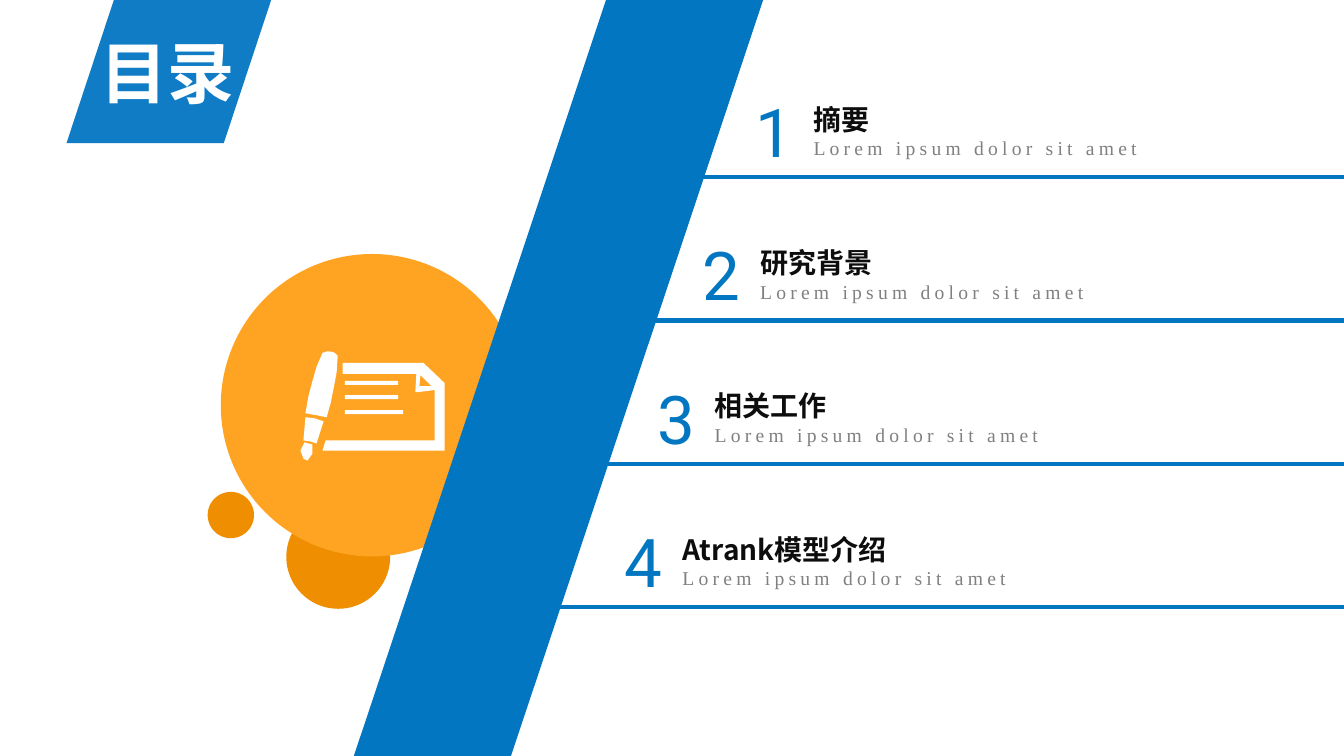
from lxml import etree
from pptx import Presentation
from pptx import util as u
from pptx.dml.color import RGBColor
from pptx.enum import shapes, text
from pptx.oxml.ns import qn

COLORS = {"blue": "0376C2", "orange": "FFA422", "amber": "EE8E00",
          "white": "FFFFFF", "ink": "0D0D0D", "gray": "808080"}
PITCH = 1.42
SUBTITLE = "Lorem ipsum dolor sit amet"
# Number's left edge and heading of each entry
ENTRIES = [(7.4, "摘要"), (6.87, "研究背景"), (6.42, "相关工作"), (6.1, "Atrank模型介绍")]

TITLE_TAB = [[(1.13, 0), (2.69, 0), (2.22, 1.42), (0.66, 1.42)]]
PEN = [
    [(3.2, 3.5), (3.25, 3.485), (3.29, 3.49), (3.32, 3.5), (3.35, 3.53), (3.34, 3.69),
     (3.31, 3.85), (3.28, 4), (3.24, 4.14), (3.14, 4.12), (3.03, 4.1), (3.06, 3.93),
     (3.1, 3.78), (3.14, 3.64)],
    [(3.03, 4.14), (3.01, 4.37), (3.08, 4.38), (3.14, 4.4), (3.21, 4.18), (3.12, 4.15)],
    [(3.02, 4.39), (3.1, 4.41), (3.1, 4.5), (3.05, 4.57), (3.01, 4.55), (2.98, 4.47)],
]
PAPER = [
    [(3.23, 4.37), (3.2, 4.47), (4.41, 4.47), (4.41, 3.8), (4.2, 3.6), (3.4, 3.6),
     (3.4, 3.71), (4.13, 3.71), (4.12, 3.89), (4.15, 3.89), (4.31, 3.87), (4.31, 4.37)],
    [(4.28, 3.83), (4.16, 3.83), (4.17, 3.72)],
]
WRITING = [[(3.42, top), (right, top), (right, top + 0.04), (3.42, top + 0.04)]
           for top, right in [(3.78, 3.95), (3.92, 3.95), (4.07, 4)]]


def paint(sp, color):
    sp.shadow.inherit = False
    sp.fill.solid()
    sp.fill.fore_color.rgb = RGBColor.from_string(COLORS[color])
    sp.line.fill.background()


def add_preset(slide, kind, x, y, w, h, color):
    sp = slide.shapes.add_shape(kind, *map(u.Inches, (x, y, w, h)))
    paint(sp, color)
    return sp


def add_circle(slide, x, y, size, color):
    add_preset(slide, shapes.MSO_SHAPE.OVAL, x, y, size, size, color)


def add_outline(slide, contours, color):
    builder = None
    for contour in contours:
        points = [(u.Inches(x), u.Inches(y)) for x, y in contour]
        if builder is None:
            builder = slide.shapes.build_freeform(*points[0])
        else:
            builder.move_to(*points[0])
        builder.add_line_segments(points[1:], close=True)
    sp = builder.convert_to_shape()
    paint(sp, color)
    return sp


def add_rule(slide, x, y):
    line = slide.shapes.add_connector(shapes.MSO_CONNECTOR.STRAIGHT, u.Inches(x), u.Inches(y),
                                      u.Inches(13.33), u.Inches(y))
    line.line.color.rgb = RGBColor.from_string(COLORS["blue"])
    line.line.width = u.Pt(3)
    etree.SubElement(line._element.spPr, qn("a:effectLst"))


def set_font(p, name, size, color, bold=False, spacing=0):
    f = p.font
    f.name, f.size, f.bold = name, u.Pt(size), bold
    f.color.rgb = RGBColor.from_string(COLORS[color])
    if spacing:
        f._element.set("spc", str(spacing * 100))
    ea = etree.SubElement(f._element, qn("a:ea"))
    ea.set("typeface", "Noto Sans CJK SC")


def add_text(slide, x, y, w, h, lines, wrap=False):
    """Each line is a tuple: wording, then the arguments of set_font."""
    tf = slide.shapes.add_textbox(*map(u.Inches, (x, y, w, h))).text_frame
    tf.word_wrap = wrap
    tf.auto_size = text.MSO_AUTO_SIZE.SHAPE_TO_FIT_TEXT
    for i, (wording, *style) in enumerate(lines):
        p = tf.paragraphs[0] if i == 0 else tf.add_paragraph()
        p.text = wording
        set_font(p, *style)


def add_entry(slide, index, x, heading):
    top = 0.85 + PITCH * index
    add_rule(slide, x - 0.57, top + 0.91)
    add_text(slide, x, top, 0.56, 0.91, [(str(index + 1), "Roboto", 48, "blue")])
    add_text(slide, x + 0.57, top + 0.12, 3.71, 0.67,
             [(heading, "Noto Sans CJK SC", 20, "ink", True),
              (SUBTITLE, "Times New Roman", 14, "gray", False, 3)], wrap=True)


def main():
    prs = Presentation()
    prs.slide_width, prs.slide_height = u.Inches(13.33), u.Inches(7.5)
    slide = prs.slides.add_slide(prs.slide_layouts[6])

    # Circles with the pen and paper icon
    add_circle(slide, 2.84, 5.01, 1.03, "amber")
    add_circle(slide, 2.19, 2.52, 3, "orange")
    add_outline(slide, PEN + PAPER + WRITING, "white")

    # Title tab and slanted band
    tab = add_outline(slide, TITLE_TAB, "blue")
    color = tab._element.spPr.find(qn("a:solidFill"))[0]
    etree.SubElement(color, qn("a:alpha")).set("val", "95000")
    band = add_preset(slide, shapes.MSO_SHAPE.PARALLELOGRAM, 3.51, 0, 4.06, 7.5, "blue")
    band.adjustments[0] = 0.616
    add_text(slide, 0.9, 0.26, 1.55, 0.91, [("目录", "Roboto", 48, "white", True)])

    # Contents
    for index, (x, heading) in enumerate(ENTRIES):
        add_entry(slide, index, x, heading)

    add_circle(slide, 2.06, 4.88, 0.46, "amber")
    prs.save("out.pptx")


if __name__ == "__main__":
    main()
